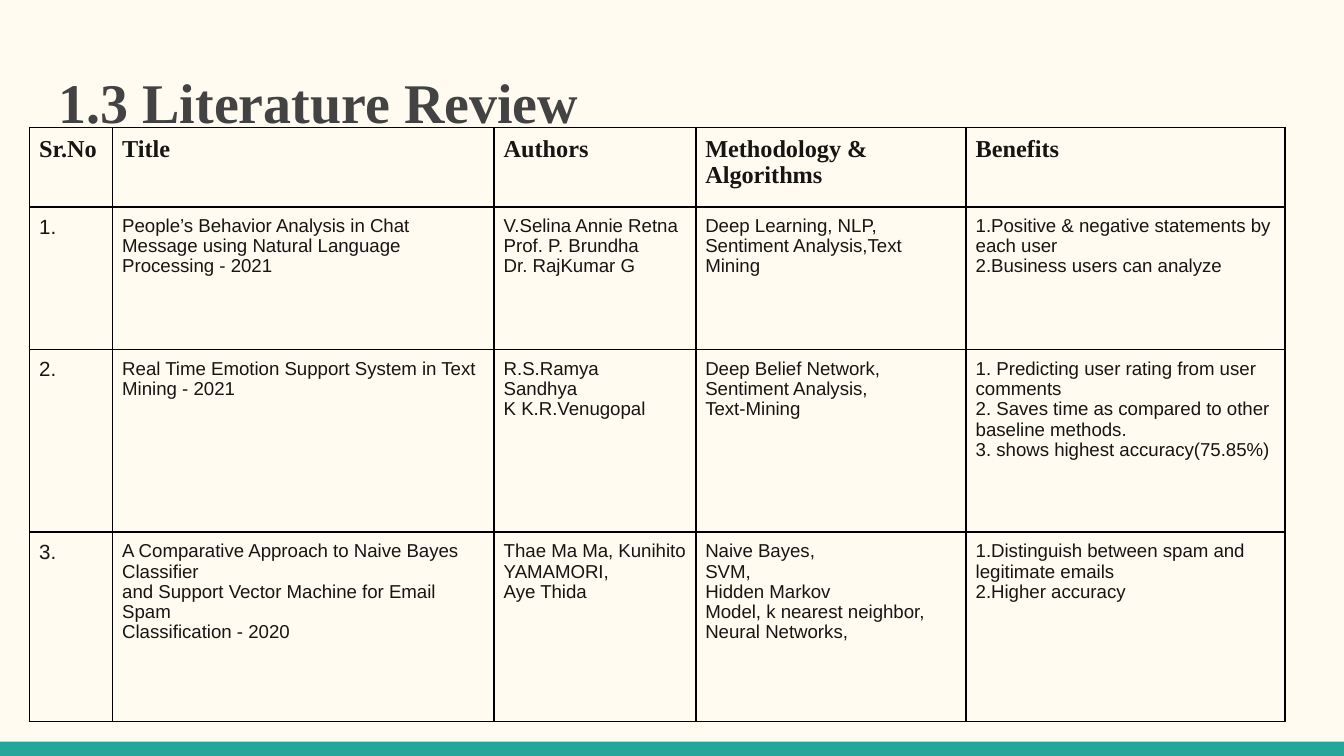
import pptx
import pptx.util
import pptx.dml.color
import pptx.enum.shapes
import pptx.enum.text
import pptx.oxml

Cm = pptx.util.Cm
Pt = pptx.util.Pt
RGBColor = pptx.dml.color.RGBColor

CREAM = RGBColor(0xFF, 0xFB, 0xF0)
TEAL = RGBColor(0x26, 0xA6, 0x9A)
GREY = RGBColor(0x43, 0x43, 0x43)
INK = RGBColor(0x16, 0x15, 0x13)
BLACK = RGBColor(0, 0, 0)
SERIF = "Times New Roman"
SANS = "Arial"

WIDE, HIGH = 25.4, 14.29
COLS = [1.57, 7.21, 3.81, 5.11, 6.02]
ROWS = [1.5, 2.7, 3.45, 3.58]
HEADS = ["Sr.No", "Title", "Authors", "Methodology & Algorithms", "Benefits"]
PAPERS = [
    ["1.",
     "People’s Behavior Analysis in Chat\n"
     "Message using Natural Language Processing - 2021",
     "V.Selina Annie Retna\nProf. P. Brundha\nDr. RajKumar G",
     "Deep Learning, NLP, Sentiment Analysis,Text Mining",
     "1.Positive & negative statements by each user\n"
     "2.Business users can analyze"],
    ["2.",
     "Real Time Emotion Support System in Text Mining - 2021",
     "R.S.Ramya\nSandhya\nK K.R.Venugopal",
     "Deep Belief Network,\nSentiment Analysis,\nText-Mining",
     "1. Predicting user rating from user comments\n"
     "2. Saves time as compared to other baseline methods.\n"
     "3. shows highest accuracy(75.85%)"],
    ["3.",
     "A Comparative Approach to Naive Bayes Classifier\n"
     "and Support Vector Machine for Email Spam\n"
     "Classification - 2020",
     "Thae Ma Ma, Kunihito YAMAMORI,\nAye Thida",
     "Naive Bayes,\nSVM,\nHidden Markov\nModel, k nearest neighbor,\n"
     "Neural Networks,",
     "1.Distinguish between spam and legitimate emails\n"
     "2.Higher accuracy"],
]


def write(frame, text, size, face, tone, bold=False, pitch=1.0):
    for i, line in enumerate(text.split("\n")):
        para = frame.add_paragraph() if i else frame.paragraphs[0]
        para.alignment = pptx.enum.text.PP_ALIGN.LEFT
        para.line_spacing = pitch
        run = para.add_run()
        run.text = line
        run.font.size = Pt(size)
        run.font.name = face
        run.font.bold = bold
        run.font.color.rgb = tone


def rule(cell):
    props = cell._tc.get_or_add_tcPr()
    for side in ("lnL", "lnR", "lnT", "lnB"):
        props.append(pptx.oxml.parse_xml(
            f'<a:{side} xmlns:a="http://schemas.openxmlformats.org/drawingml/2006/main" '
            f'w="{Pt(1)}"><a:solidFill><a:srgbClr val="{BLACK}"/></a:solidFill></a:{side}>'))


def add_bar(slide, left, top, width, height):
    bar = slide.shapes.add_shape(
        pptx.enum.shapes.MSO_SHAPE.RECTANGLE,
        Cm(left), Cm(top), Cm(width), Cm(height))
    bar.shadow.inherit = False
    bar.fill.solid()
    bar.fill.fore_color.rgb = TEAL
    bar.line.fill.background()


def add_title(slide, left, top, width, height):
    title = slide.shapes.title
    title.left, title.top = Cm(left), Cm(top)
    title.width, title.height = Cm(width), Cm(height)
    frame = title.text_frame
    frame.auto_size = pptx.enum.text.MSO_AUTO_SIZE.NONE
    frame.vertical_anchor = pptx.enum.text.MSO_ANCHOR.TOP
    frame.margin_left = frame.margin_right = Cm(0.25)
    frame.margin_top, frame.margin_bottom = Cm(0.38), Cm(0)
    write(frame, "1.3 Literature Review", 30, SERIF, GREY, True)


def add_grid(slide, left, top, width, height):
    grid = slide.shapes.add_table(
        len(ROWS), len(COLS), Cm(left), Cm(top), Cm(width), Cm(height)).table
    grid.first_row = grid.horz_banding = False
    for col, size in zip(grid.columns, COLS):
        col.width = Cm(size)
    for row, size in zip(grid.rows, ROWS):
        row.height = Cm(size)
    for r, texts in enumerate([HEADS] + PAPERS):
        for c, text in enumerate(texts):
            cell = grid.cell(r, c)
            cell.margin_left = cell.margin_right = Cm(0.18)
            cell.margin_top = cell.margin_bottom = Cm(0.18)
            rule(cell)
            cell.fill.background()
            if r == 0:
                write(cell.text_frame, text, 13, SERIF, INK, True, 0.97)
            else:
                write(cell.text_frame, text, 10 if c else 11, SANS, INK, pitch=0.97)


def main():
    deck = pptx.Presentation()
    deck.slide_width, deck.slide_height = Cm(WIDE), Cm(HIGH)
    slide = deck.slides.add_slide(deck.slide_layouts[5])
    slide.background.fill.solid()
    slide.background.fill.fore_color.rgb = CREAM
    add_bar(slide, 0, HIGH - 0.27, WIDE, 0.27)
    add_title(slide, 0.86, 0.89, 23.67, 1.7)
    add_grid(slide, 0.56, 2.41, sum(COLS), sum(ROWS))
    deck.save("out.pptx")


if __name__ == "__main__":
    main()
